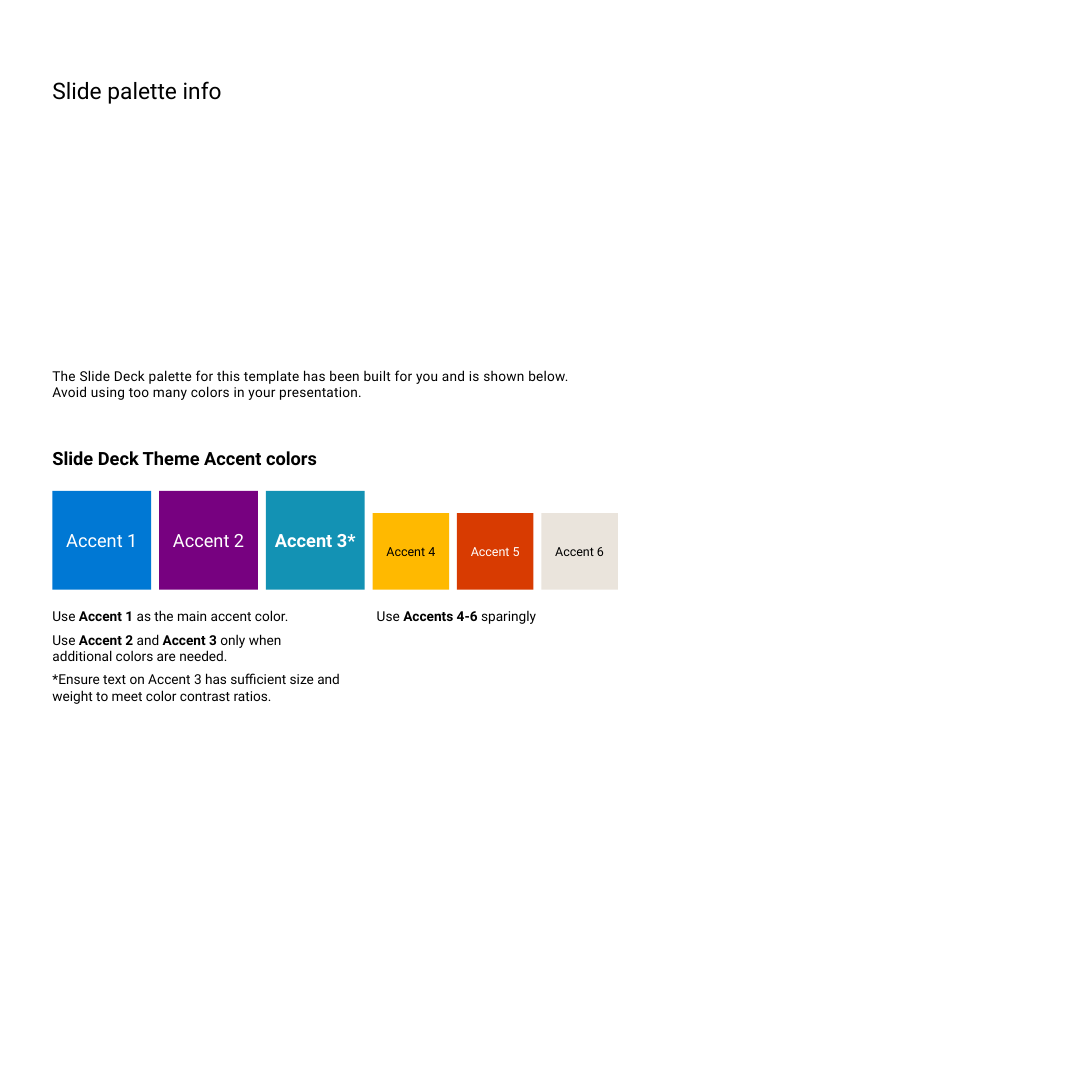
"""Build a slide that shows the accent colours of a theme and how to use them."""
from dataclasses import dataclass

from pptx import Presentation
from pptx.dml.color import RGBColor
from pptx.enum.shapes import MSO_SHAPE
from pptx.enum.text import MSO_ANCHOR, PP_ALIGN
from pptx.util import Pt

RECTANGLE = MSO_SHAPE.RECTANGLE
MIDDLE = MSO_ANCHOR.MIDDLE
CENTER = PP_ALIGN.CENTER
EMU_PER_PX = 4572
BLANK_LAYOUT = 6


@dataclass(frozen=True)
class Theme:
    """Colours as hex strings and type sizes in points."""
    font: str = "Roboto"
    black: str = "000000"
    white: str = "FFFFFF"
    blue: str = "0078D4"
    purple: str = "770180"
    teal: str = "1392B4"
    yellow: str = "FFB900"
    orange: str = "D83B01"
    sand: str = "EAE4DC"
    title: float = 30
    heading: float = 24
    body: float = 18
    small: float = 16.5


THEME = Theme()
MARGIN = 192
SWATCH_BOTTOM = 2160
SWATCH_GAP = 29
LARGE, SMALL = 362, 280
NOTES_TOP = 2228

ACCENTS = [
    ("Accent 1", LARGE, THEME.heading, THEME.blue, THEME.white, False),
    ("Accent 2", LARGE, THEME.heading, THEME.purple, THEME.white, False),
    ("Accent 3*", LARGE, THEME.heading, THEME.teal, THEME.white, True),
    ("Accent 4", SMALL, THEME.small, THEME.yellow, THEME.black, False),
    ("Accent 5", SMALL, THEME.small, THEME.orange, THEME.white, False),
    ("Accent 6", SMALL, THEME.small, THEME.sand, THEME.black, False),
]
MAIN_NOTES = [
    [("Use ", False), ("Accent 1 ", True), ("as the main accent color.", False)],
    [("Use ", False), ("Accent 2", True), (" and ", False), ("Accent 3", True),
     (" only when\nadditional colors are needed.", False)],
    [("*Ensure text on Accent 3 has sufficient size and weight to meet "
      "color contrast ratios.", False)],
]
SPARING_NOTES = [
    [("Use ", False), ("Accents 4-6 ", True), ("sparingly", False)],
]
INTRO = [
    [("The Slide Deck palette for this template has been built for you and is "
      "shown below.\nAvoid using too many colors in your presentation.", False)],
]


def px(length):
    """Turn a length in px into EMU."""
    return length * EMU_PER_PX


def style_paragraph(para, size, color):
    """Set the typeface, size and colour of a paragraph."""
    para.font.name = THEME.font
    para.font.size = Pt(size)
    para.font.color.rgb = RGBColor.from_string(color)


def add_span(para, text, bold, tracking):
    """Add text with its weight and letter spacing, breaking at newlines."""
    for index, line in enumerate(text.split("\n")):
        if index:
            para.add_line_break()
        span = para.add_run()
        span.text = line
        span.font.bold = bold
        if tracking:
            span._r.get_or_add_rPr().set("spc", str(tracking))


def set_margins(frame, top=0, bottom=0):
    """Set the inner margins of a text frame, with none at the sides."""
    frame.margin_left = frame.margin_right = 0
    frame.margin_top, frame.margin_bottom = px(top), px(bottom)


def add_text(page, left, top, width, height, paragraphs, size, inset=0, tracking=0):
    """Add a wrapped text box of paragraphs made of (text, bold) spans."""
    box = page.shapes.add_textbox(px(left), px(top), px(width), px(height))
    frame = box.text_frame
    frame.word_wrap = True
    set_margins(frame, top=inset)
    for index, spans in enumerate(paragraphs):
        para = frame.add_paragraph() if index else frame.paragraphs[0]
        style_paragraph(para, size, THEME.black)
        if index:
            para.space_before = Pt(9)
        for text, bold in spans:
            add_span(para, text, bold, tracking)


def add_swatch(page, left, label, side, size, fill, color, bold):
    """Add a square of one accent colour, with its label in the middle."""
    box = page.shapes.add_shape(
        RECTANGLE, px(left), px(SWATCH_BOTTOM - side), px(side), px(side))
    box.shadow.inherit = False
    box.fill.solid()
    box.fill.fore_color.rgb = RGBColor.from_string(fill)
    box.line.fill.background()
    frame = box.text_frame
    frame.word_wrap = True
    frame.vertical_anchor = MIDDLE
    set_margins(frame, top=16, bottom=16)
    para = frame.paragraphs[0]
    para.alignment = CENTER
    style_paragraph(para, size, color)
    add_span(para, label, bold, 0)


def add_swatches(page):
    """Add the accent squares in a row, standing on one baseline."""
    left = MARGIN
    for label, side, *style in ACCENTS:
        add_swatch(page, left, label, side, *style)
        left += side + SWATCH_GAP


def main():
    """Build the slide and save it."""
    deck = Presentation()
    deck.slide_width = deck.slide_height = px(4000)
    page = deck.slides.add_slide(deck.slide_layouts[BLANK_LAYOUT])
    add_text(page, MARGIN, 266, 1808, 116, [[("Slide palette info", False)]],
             THEME.title, inset=14)
    add_text(page, MARGIN, 1346, 3268, 122, INTRO, THEME.body, tracking=30)
    add_text(page, MARGIN, 1640, 2062, 80,
             [[("Slide Deck Theme Accent colors", True)]], THEME.heading)
    add_swatches(page)
    add_text(page, MARGIN, NOTES_TOP, 1144, 354, MAIN_NOTES, THEME.body)
    add_text(page, 1380, NOTES_TOP, 910, 60, SPARING_NOTES, THEME.body)
    deck.save("out.pptx")


if __name__ == "__main__":
    main()
